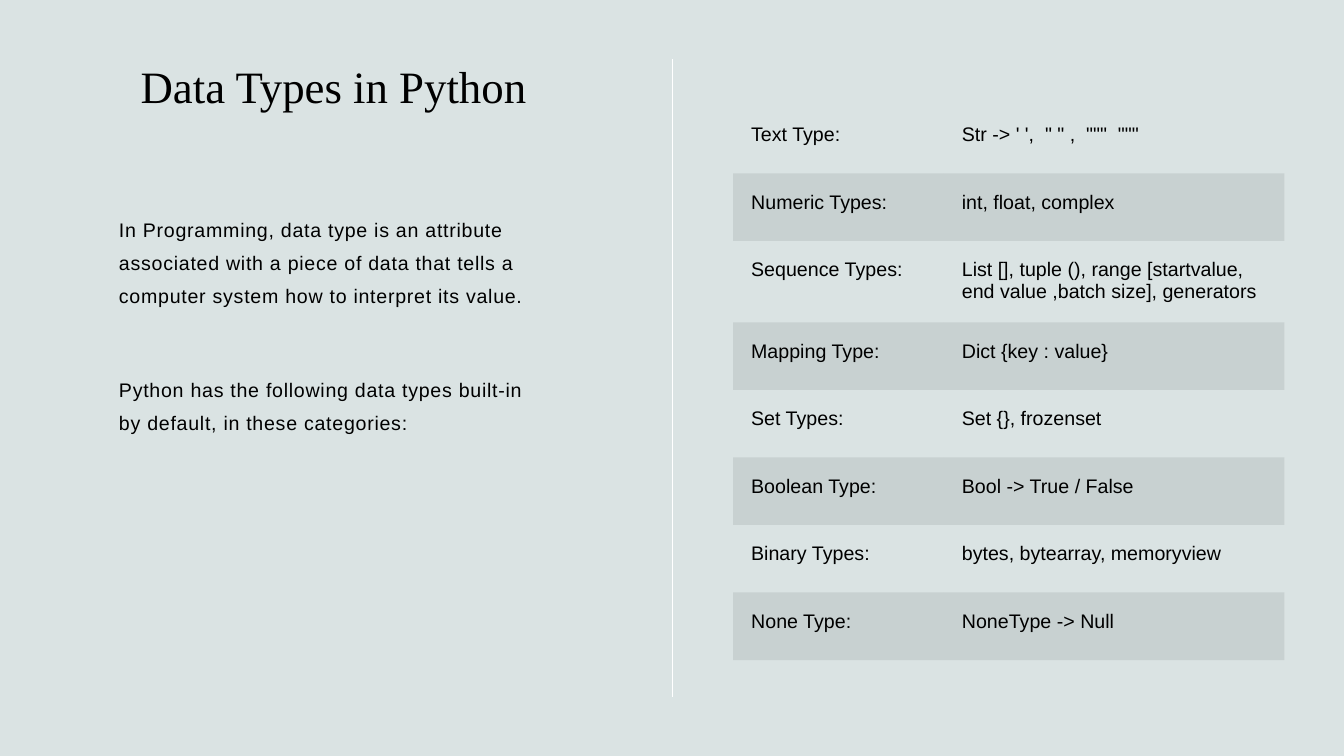
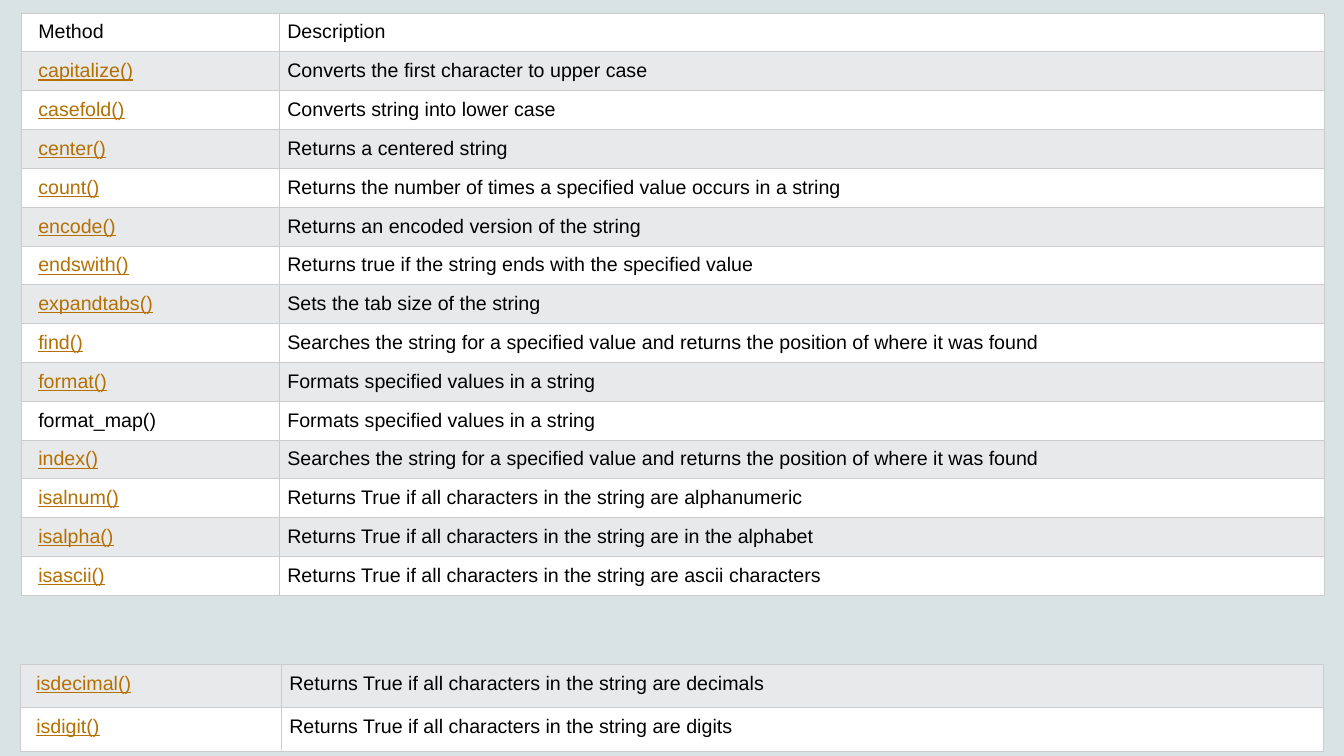
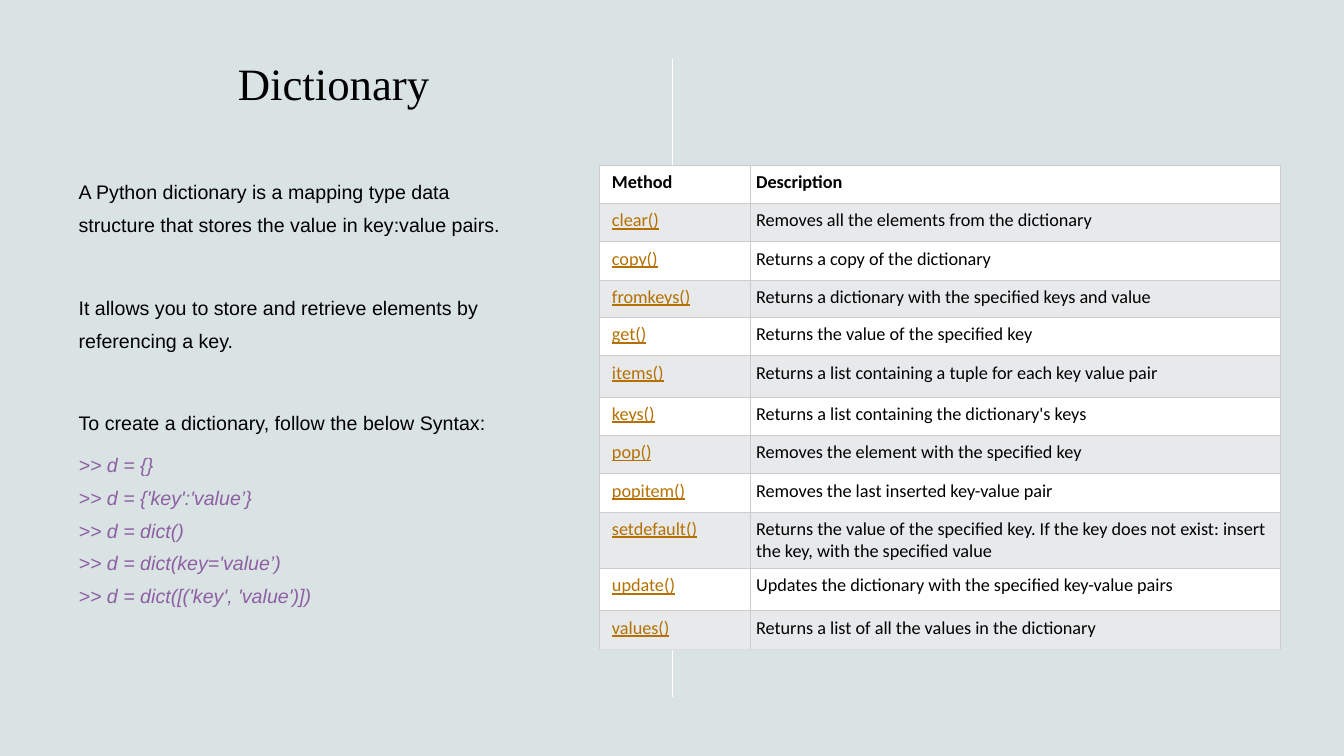
from pptx import Presentation
from pptx.dml.color import RGBColor
from pptx.enum.shapes import MSO_CONNECTOR
from pptx.enum.text import MSO_ANCHOR, MSO_AUTO_SIZE, PP_ALIGN
from pptx.oxml.ns import qn
from pptx.util import Inches, Pt
from lxml.etree import SubElement

COLORS = {"page": "DAE3E3", "text": "000000", "rule": "FFFFFF", "link": "B57001",
          "code": "8D5FA3", "white": "FFFFFF", "band": "E7E9EB",
          "border": "CCCCCC", "last_border": "DDDDDD"}
TITLE_FONT, BODY_FONT, COMPACT_FONT = "Times New Roman", "Arial", "Calibri"
NO_STYLE = "{2D5ABB26-0587-4C30-8999-92F81FD0307C}"
LINE_SPACING = 1.4

INTRO = ["In Programming, data type is an attribute associated with a piece of data "
         "that tells a computer system how to interpret its value.",
         "Python has the following data types built-in by default, in these categories:"]
DATA_TYPES = [
    ("Text Type:", "Str -> ' ',  \" \" ,  \"\"\"  \"\"\""),
    ("Numeric Types:", "int, float, complex"),
    ("Sequence Types:", "List [], tuple (), range [startvalue, end value ,batch size], generators"),
    ("Mapping Type:", "Dict {key : value}"),
    ("Set Types:", "Set {}, frozenset"),
    ("Boolean Type:", "Bool -> True / False"),
    ("Binary Types:", "bytes, bytearray, memoryview"),
    ("None Type:", "NoneType -> Null"),
]

HEADER = ("Method", "Description")
STRING_METHODS = [
    HEADER,
    ("capitalize()", "Converts the first character to upper case"),
    ("casefold()", "Converts string into lower case"),
    ("center()", "Returns a centered string"),
    ("count()", "Returns the number of times a specified value occurs in a string"),
    ("encode()", "Returns an encoded version of the string"),
    ("endswith()", "Returns true if the string ends with the specified value"),
    ("expandtabs()", "Sets the tab size of the string"),
    ("find()", "Searches the string for a specified value and returns the position of where it was found"),
    ("format()", "Formats specified values in a string"),
    ("format_map()", "Formats specified values in a string"),
    ("index()", "Searches the string for a specified value and returns the position of where it was found"),
    ("isalnum()", "Returns True if all characters in the string are alphanumeric"),
    ("isalpha()", "Returns True if all characters in the string are in the alphabet"),
    ("isascii()", "Returns True if all characters in the string are ascii characters"),
]
DIGIT_METHODS = [
    ("isdecimal()", "Returns True if all characters in the string are decimals"),
    ("isdigit()", "Returns True if all characters in the string are digits"),
]
UNLINKED = {"Method", "format_map()"}

DICT_INTRO = ["A Python dictionary is a mapping type data structure that stores the value "
              "in key:value pairs.",
              "It allows you to store and retrieve elements by referencing a key.",
              "To create a dictionary, follow the below Syntax:"]
DICT_CODE = [">> d = {}", ">> d = {'key':'value’}", ">> d = dict()",
             ">> d = dict(key='value’)", ">> d = dict([('key', 'value')])"]
DICT_METHODS = [
    HEADER,
    ("clear()", "Removes all the elements from the dictionary"),
    ("copy()", "Returns a copy of the dictionary"),
    ("fromkeys()", "Returns a dictionary with the specified keys and value"),
    ("get()", "Returns the value of the specified key"),
    ("items()", "Returns a list containing a tuple for each key value pair"),
    ("keys()", "Returns a list containing the dictionary's keys"),
    ("pop()", "Removes the element with the specified key"),
    ("popitem()", "Removes the last inserted key-value pair"),
    ("setdefault()", "Returns the value of the specified key. If the key does not exist: "
                     "insert the key, with the specified value"),
    ("update()", "Updates the dictionary with the specified key-value pairs"),
    ("values()", "Returns a list of all the values in the dictionary"),
]


def rgb(name):
    return RGBColor.from_string(COLORS[name])


def add_run(p, text, size=14, font=BODY_FONT, color="text"):
    r = p.add_run()
    r.text = text
    r.font.size, r.font.name = Pt(size), font
    r.font.color.rgb = rgb(color)
    return r


def place(sp, left, top, width, height):
    sp.left, sp.top, sp.width, sp.height = map(Inches, (left, top, width, height))
    sp.text_frame.auto_size = MSO_AUTO_SIZE.NONE
    sp.text_frame.word_wrap = True


def add_split_slide(prs, title, title_height, body_box):
    """Add a slide with a title, a vertical rule and an empty body; return slide and body."""
    s = prs.slides.add_slide(prs.slide_layouts[1])
    place(s.shapes.title, 1.08, 0.43, 4.46, title_height)
    tf = s.shapes.title.text_frame
    tf.vertical_anchor = MSO_ANCHOR.BOTTOM
    p = tf.paragraphs[0]
    p.alignment = PP_ALIGN.CENTER
    add_run(p, title, 32, TITLE_FONT)

    rule = s.shapes.add_connector(MSO_CONNECTOR.STRAIGHT, Inches(6.67), Inches(0.59),
                                  Inches(6.67), Inches(6.91))
    rule.line.color.rgb = rgb("rule")
    rule.line.width = Pt(1)
    SubElement(rule._element.spPr, qn("a:effectLst"))

    body = s.placeholders[1]
    place(body, *body_box)
    return s, body.text_frame


def add_paragraph(tf, text, before=0, after=0, color="text"):
    p = tf.paragraphs[0] if not tf.text else tf.add_paragraph()
    p.line_spacing = LINE_SPACING
    p.space_before, p.space_after = Pt(before), Pt(after)
    pPr = p._p.get_or_add_pPr()
    pPr.set("marL", "0")
    pPr.set("indent", "0")
    SubElement(pPr, qn("a:buNone"))
    return add_run(p, text, color=color)


def add_border(cell, bottom):
    tcPr = cell._tc.get_or_add_tcPr()
    for side in "LRTB":
        ln = SubElement(tcPr, qn(f"a:ln{side}"), w=str(Pt(0.75)))
        fill = SubElement(ln, qn("a:solidFill"))
        color = bottom if side == "B" else "border"
        SubElement(fill, qn("a:srgbClr"), val=COLORS[color])


def add_plain_table(s, rows, left, top, widths, heights):
    """Add an unstyled table and yield row number, column number, cell and text."""
    frame = s.shapes.add_table(len(rows), len(widths), Inches(left), Inches(top),
                               Inches(sum(widths)), Inches(sum(heights)))
    table = frame.table
    table.first_row = table.horz_banding = False
    table._tbl.tblPr.find(qn("a:tableStyleId")).text = NO_STYLE
    for col, width in zip(table.columns, widths):
        col.width = Inches(width)
    for row, height in zip(table.rows, heights):
        row.height = Inches(height)
    for i, texts in enumerate(rows):
        for j, text in enumerate(texts):
            yield i, j, table.cell(i, j), text


def set_margins(cell, left, rest):
    cell.margin_left = Inches(left)
    cell.margin_right = cell.margin_top = cell.margin_bottom = Inches(rest)


def add_type_table(s):
    heights = [0.81 if name == "Sequence Types:" else 0.67 for name, _ in DATA_TYPES]
    for i, _, cell, text in add_plain_table(s, DATA_TYPES, 7.27, 1.05, (2.09, 3.38), heights):
        set_margins(cell, 0.18, 0.18)
        add_run(cell.text_frame.paragraphs[0], text)
        if i % 2:
            cell.fill.solid()
            cell.fill.fore_color.rgb = rgb("text")
            clr = cell._tc.tcPr.find(".//" + qn("a:srgbClr"))
            SubElement(clr, qn("a:alpha"), val="8000")


def add_method_table(s, rows, left, top, widths, heights, margins, size=14, font=BODY_FONT,
                     bold_header=False, first_band=0, last_border="border"):
    """Add a bordered, banded table whose method names look like links."""
    for i, j, cell, text in add_plain_table(s, rows, left, top, widths, heights):
        indent, pad = margins
        set_margins(cell, pad if j else indent, pad)
        linked = j == 0 and text not in UNLINKED
        r = add_run(cell.text_frame.paragraphs[0], text, size, font,
                    "link" if linked else "text")
        r.font.underline = linked
        r.font.bold = bold_header and i == 0
        add_border(cell, last_border if i == len(rows) - 1 else "border")
        cell.fill.solid()
        cell.fill.fore_color.rgb = rgb("band" if (i + first_band) % 2 else "white")


def add_types_slide(prs):
    s, tf = add_split_slide(prs, "Data Types in Python", 0.74, (1.08, 2.02, 4.46, 3.74))
    for text, before in zip(INTRO, (10, 43.6)):
        r = add_paragraph(tf, text, before)
        r.font._element.set("spc", "50")
    add_type_table(s)


def add_strings_slide(prs):
    s = prs.slides.add_slide(prs.slide_layouts[6])
    count = len(STRING_METHODS)
    add_method_table(s, STRING_METHODS, 0.21, 0.13, (2.56, 10.37), [5.78 / count] * count,
                     (0.17, 0.08))
    add_method_table(s, DIGIT_METHODS, 0.2, 6.59, (2.59, 10.34), [0.43] * 2,
                     (0.16, 0.08), first_band=1)


def add_dictionary_slide(prs):
    s, tf = add_split_slide(prs, "Dictionary", 0.71, (0.68, 1.64, 4.46, 5.35))
    for text, after in zip(DICT_INTRO, (35.6, 35.6, 6)):
        add_paragraph(tf, text, after=after)
    for text in DICT_CODE:
        add_paragraph(tf, text, color="code").font.italic = True
    special = {"fromkeys()": 0.37, "items()": 0.41, "setdefault()": 0.56, "update()": 0.42}
    heights = [special.get(name, 0.38) for name, _ in DICT_METHODS]
    add_method_table(s, DICT_METHODS, 5.95, 1.64, (1.49, 5.26), heights, (0.12, 0.06),
                     13, COMPACT_FONT, bold_header=True, last_border="last_border")


def main():
    prs = Presentation()
    prs.slide_width, prs.slide_height = Inches(13.33), Inches(7.5)
    background = prs.slide_master.background.fill
    background.solid()
    background.fore_color.rgb = rgb("page")
    add_types_slide(prs)
    add_strings_slide(prs)
    add_dictionary_slide(prs)
    prs.save("out.pptx")


if __name__ == "__main__":
    main()
